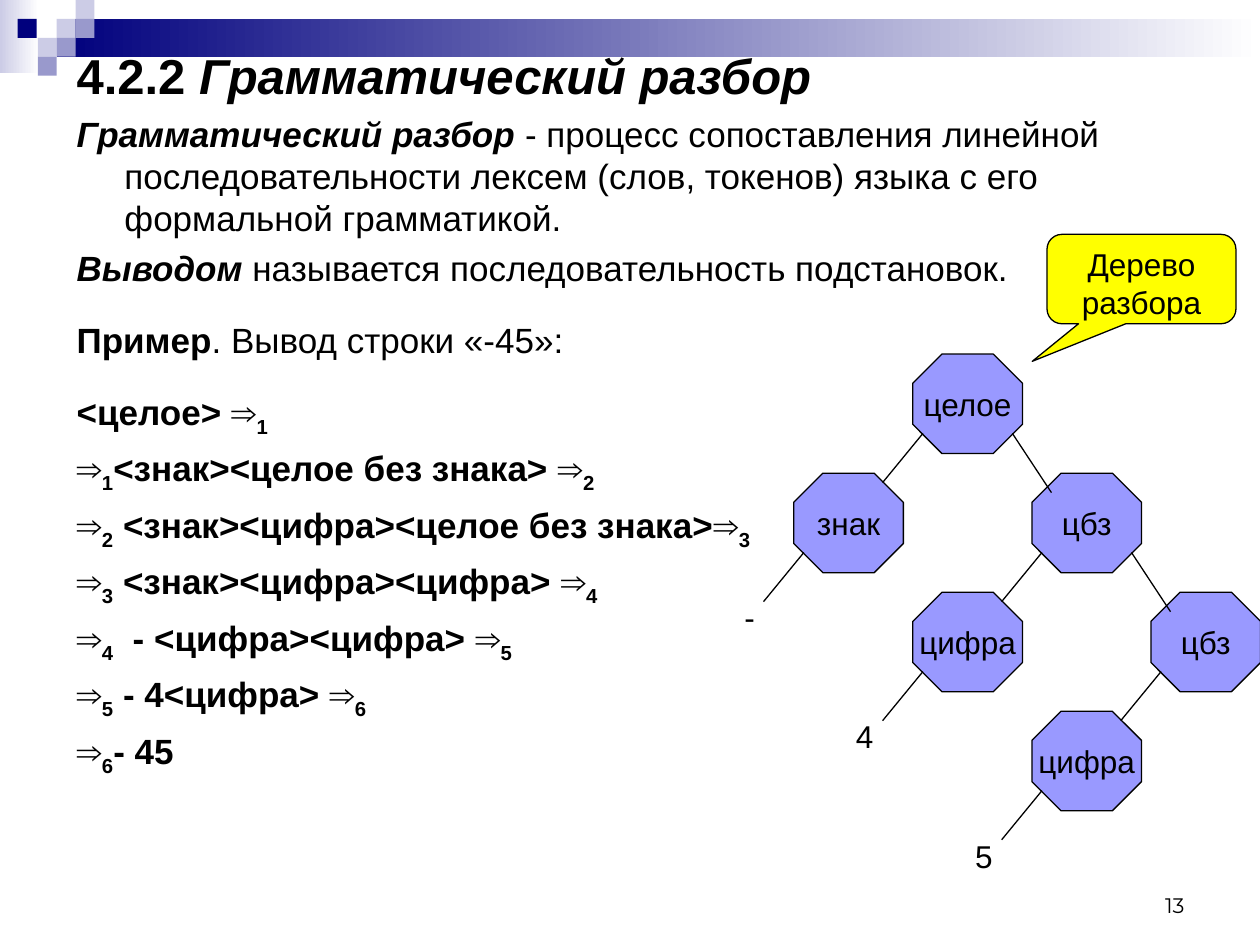
from lxml import etree
from pptx import Presentation
from pptx.dml.color import RGBColor
from pptx.enum.shapes import MSO_CONNECTOR, MSO_SHAPE
from pptx.enum.text import MSO_ANCHOR, MSO_AUTO_SIZE, PP_ALIGN
from pptx.oxml.ns import qn
from pptx.util import Inches, Pt

COLORS = {
    "black": "000000",
    "navy": "00007D",
    "white": "FFFFFF",
    "pale": "CCCCE6",
    "mid": "9999CC",
    "node": "9999FF",
    "callout": "FFFF00",
}
STEP = 0.945  # pitch of the tree grid
NODE_W, NODE_H = 0.87, 0.79

# Text, column, row, has a right child, leaf text, leaf width
NODES = [
    ("целое", 1, 0, True, None, 0),
    ("знак", 0, 1, False, "-", 0.28),
    ("цбз", 2, 1, True, None, 0),
    ("цифра", 1, 2, False, "4", 0.34),
    ("цбз", 3, 2, False, None, 0),
    ("цифра", 2, 3, False, "5", 0.34),
]

# Text, bold, italic for each run, after the space before the paragraph
INTRO = [
    (5, [("Грамматический разбор ", True, True),
         ("- процесс сопоставления линейной последовательности лексем "
          "(слов, токенов) языка с его формальной грамматикой.", False, False)]),
    (5, [("Выводом ", True, True),
         ("называется последовательность подстановок.", False, False)]),
    (17, [("Пример", True, False), (". Вывод строки «-45»:", False, False)]),
]
DERIVATION = [
    "<целое> ",
    "<знак><целое без знака> ",
    " <знак><цифра><целое без знака>",
    " <знак><цифра><цифра> ",
    "  - <цифра><цифра> ",
    " - 4<цифра> ",
    "- 45",
]


def rgb(name):
    return RGBColor.from_string(COLORS[name])


def style_run(r, size, bold=False, italic=False, font="Arial"):
    r.font.name = font
    r.font.size = Pt(size)
    r.font.bold = bold
    r.font.italic = italic
    r.font.color.rgb = rgb("black")


def add_run(p, text, size, bold=False, italic=False, subscript=False):
    r = p.add_run()
    r.text = text
    style_run(r, size, bold, italic)
    if subscript:
        r._r.get_or_add_rPr().set("baseline", "-25000")


def add_text(s, x, y, w, h, text="", size=18, font="Arial", align=PP_ALIGN.LEFT,
             anchor=MSO_ANCHOR.TOP, wrap=True):
    tf = s.shapes.add_textbox(Inches(x), Inches(y), Inches(w), Inches(h)).text_frame
    tf.word_wrap = wrap
    tf.vertical_anchor = anchor
    if text:
        p = tf.paragraphs[0]
        p.text = text
        p.alignment = align
        style_run(p.runs[0], size, font=font)
    return tf


def add_block(s, kind, x, y, w, h, fill, fade_to=None, outline=False):
    sp = s.shapes.add_shape(kind, Inches(x), Inches(y), Inches(w), Inches(h))
    sp.shadow.inherit = False
    if fade_to:
        sp.fill.gradient()
        sp.fill.gradient_angle = 0
        for stop, name in zip(sp.fill.gradient_stops, (fill, fade_to)):
            stop.color.rgb = rgb(name)
    else:
        sp.fill.solid()
        sp.fill.fore_color.rgb = rgb(fill)
    if outline:
        sp.line.color.rgb = rgb("black")
        sp.line.width = Pt(0.75)
    else:
        sp.line.fill.background()
    return sp


def label(sp, text, anchor=MSO_ANCHOR.MIDDLE, wrap=False):
    tf = sp.text_frame
    tf.text = text
    tf.word_wrap = wrap
    tf.vertical_anchor = anchor
    for p in tf.paragraphs:
        p.alignment = PP_ALIGN.CENTER
        style_run(p.runs[0], 18)


def add_line(s, x1, y1, x2, y2):
    line = s.shapes.add_connector(MSO_CONNECTOR.STRAIGHT, Inches(x1), Inches(y1),
                                  Inches(x2), Inches(y2))
    line.line.color.rgb = rgb("black")
    line.line.width = Pt(0.75)
    etree.SubElement(line._element.spPr, qn("a:effectLst"))


def add_banner(s):
    rect = MSO_SHAPE.RECTANGLE
    add_block(s, rect, 0, 0, 0.31, 0.58, "pale", "white")
    add_block(s, rect, 0.45, 0.15, 9.55, 0.3, "navy", "white")
    squares = [(0.45, 0.15, "pale"), (0.6, 0, "pale"), (0.6, 0.15, "mid"),
               (0.3, 0.3, "pale"), (0.14, 0.15, "navy"), (0.45, 0.3, "mid"),
               (0.3, 0.45, "mid")]
    for x, y, fill in squares:
        add_block(s, rect, x, y, 0.15, 0.15, fill)


def add_title(s):
    p = add_text(s, 0.51, 0.28, 9, 0.63, anchor=MSO_ANCHOR.MIDDLE).paragraphs[0]
    add_run(p, "4.2.2 ", 28, bold=True)
    add_run(p, "Грамматический разбор", 28, bold=True, italic=True)


def add_body(s):
    tf = add_text(s, 0.51, 0.84, 9, 6.54)

    def next_paragraph(space):
        p = tf.paragraphs[0] if not tf.paragraphs[0].runs else tf.add_paragraph()
        p.space_before = Pt(space)
        pPr = p._p.get_or_add_pPr()
        pPr.set("marL", str(Inches(0.38)))
        pPr.set("indent", str(Inches(-0.38)))
        return p

    for space, runs in INTRO:
        p = next_paragraph(space)
        for text, bold, italic in runs:
            add_run(p, text, 20, bold, italic)

    # Each step opens with its own number and closes with the next one
    last = len(DERIVATION) - 1
    for i, text in enumerate(DERIVATION):
        p = next_paragraph(5 if i else 17)
        if i:
            add_run(p, "⇒", 20, bold=True)
            add_run(p, str(i), 20, bold=True, subscript=True)
        add_run(p, text + ("⇒" if i < last else ""), 20, bold=True)
        if i < last:
            add_run(p, str(i + 1), 20, bold=True, subscript=True)


def add_tree(s):
    places = [(6.3 + STEP * col, 2.81 + STEP * row) for _, col, row, *_ in NODES]
    for (x, y), (text, *_) in zip(places, NODES):
        sp = add_block(s, MSO_SHAPE.OCTAGON, x, y, NODE_W, NODE_H, "node", outline=True)
        sp.adjustments[0] = 0.293
        label(sp, text)

    # Branches and leaves
    for (x, y), (_, _, _, right_child, leaf, leaf_w) in zip(places, NODES):
        add_line(s, x + 0.08, y + 0.63, x - 0.24, y + 1.02)
        if right_child:
            add_line(s, x + 0.79, y + 0.63, x + 1.1, y + 1.1)
        if leaf:
            tf = add_text(s, x - 0.21 - leaf_w, y + STEP, leaf_w, 0.4, leaf, wrap=False)
            tf.auto_size = MSO_AUTO_SIZE.SHAPE_TO_FIT_TEXT


def add_callout(s):
    sp = add_block(s, MSO_SHAPE.ROUNDED_RECTANGULAR_CALLOUT, 8.31, 1.86, 1.5, 0.71,
                   "callout", outline=True)
    for i, value in enumerate((-0.578, 0.92, 0.167)):
        sp.adjustments[i] = value
    label(sp, "Дерево\nразбора", MSO_ANCHOR.TOP, wrap=True)


def main():
    prs = Presentation()
    prs.slide_width, prs.slide_height = Inches(10), Inches(7.5)
    s = prs.slides.add_slide(prs.slide_layouts[6])
    add_banner(s)
    # Slide number
    add_text(s, 7.17, 6.83, 2.33, 0.5, "13", 12, "Montserrat", PP_ALIGN.RIGHT,
             MSO_ANCHOR.BOTTOM)
    add_title(s)
    add_body(s)
    add_tree(s)
    add_callout(s)
    prs.save("out.pptx")


if __name__ == "__main__":
    main()
